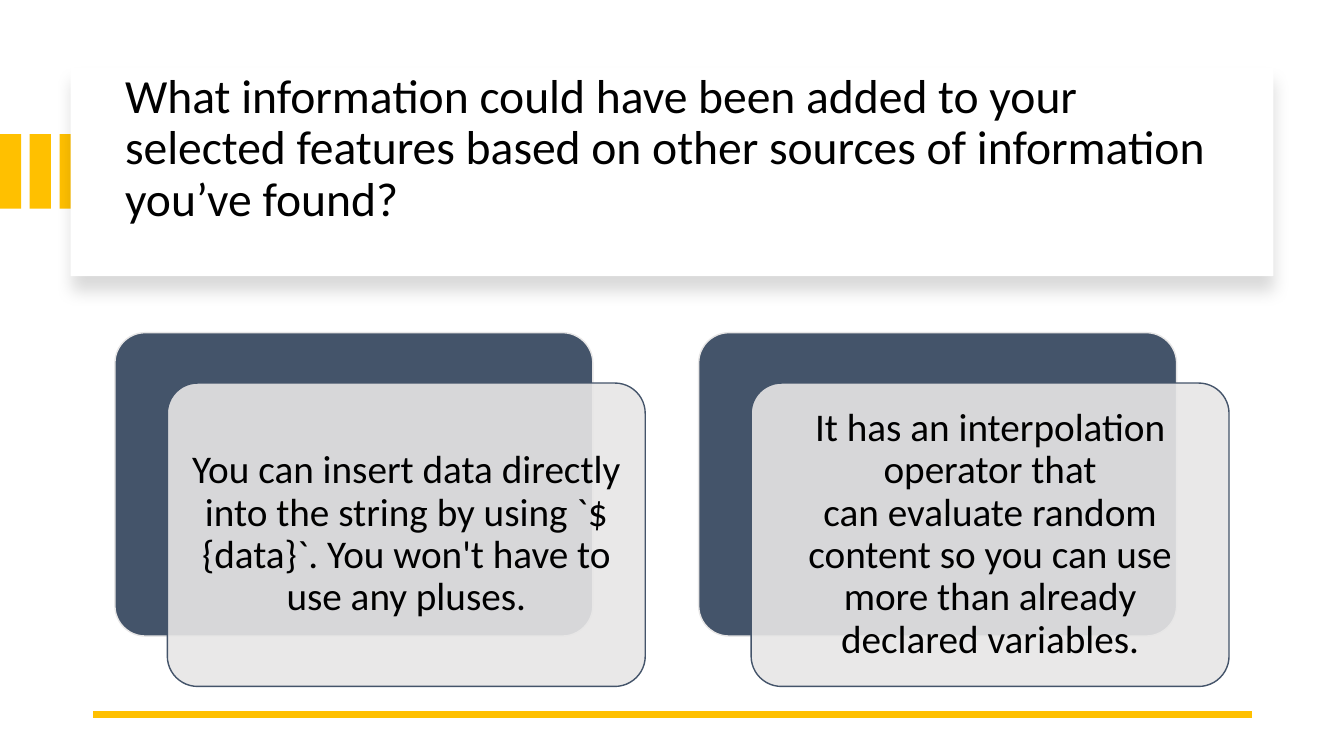
from pptx import Presentation
from pptx.dml.color import RGBColor
from pptx.enum.shapes import MSO_CONNECTOR, MSO_SHAPE
from pptx.enum.text import MSO_ANCHOR, MSO_AUTO_SIZE, PP_ALIGN
from pptx.oxml import parse_xml
from pptx.oxml.ns import nsdecls, qn
from pptx.util import Inches, Pt

RECTANGLE, ROUNDED = MSO_SHAPE.RECTANGLE, MSO_SHAPE.ROUNDED_RECTANGLE
STRAIGHT = MSO_CONNECTOR.STRAIGHT
MIDDLE = MSO_ANCHOR.MIDDLE
LEFT, CENTER = PP_ALIGN.LEFT, PP_ALIGN.CENTER
NO_FIT = MSO_AUTO_SIZE.NONE

FONT = "Calibri"
BLACK = RGBColor(0x00, 0x00, 0x00)
WHITE = RGBColor(0xFF, 0xFF, 0xFF)
GOLD = RGBColor(0xFF, 0xC0, 0x00)
SLATE = RGBColor(0x44, 0x54, 0x6A)
PALE = RGBColor(0xE7, 0xE6, 0xE6)

TITLE = ("What information could have been added to your selected features "
         "based on other sources of information you\u2019ve found?")
ANSWERS = [
    "You can insert data directly into the string by using `${data}`. "
    "You won't have to use any pluses.",
    "It has an\u00a0interpolation operator that can\u00a0evaluate\u00a0random "
    "content so you can use more than\u00a0already declared\u00a0variables.",
]


def add_block(page, kind, left, top, width, height, fill, line=None):
    """Add a flat preset shape, outlined only when a line colour is given."""
    block = page.shapes.add_shape(
        kind, Inches(left), Inches(top), Inches(width), Inches(height))
    block.shadow.inherit = False
    block.fill.solid()
    block.fill.fore_color.rgb = fill
    if line is None:
        block.line.fill.background()
    else:
        block.line.color.rgb = line
        block.line.width = Pt(1)
    return block


def write_text(shape, text, size, align, inset, bottom=None):
    """Write one wrapped, vertically centred paragraph into a shape."""
    frame = shape.text_frame
    frame.word_wrap = True
    frame.auto_size = NO_FIT
    frame.vertical_anchor = MIDDLE
    frame.margin_left = frame.margin_right = Inches(inset)
    frame.margin_top = Inches(0.05)
    frame.margin_bottom = Inches(0.05 if bottom is None else bottom)
    para = frame.paragraphs[0]
    para.alignment = align
    para.line_spacing = 0.9
    span = para.add_run()
    span.text = text
    span.font.name = FONT
    span.font.size = Pt(size)
    span.font.color.rgb = BLACK


def set_opacity(shape, percent):
    """Make a solid fill partly transparent."""
    color = shape.element.spPr.find(qn("a:solidFill"))[0]
    color.append(parse_xml(
        f'<a:alpha {nsdecls("a")} val="{percent * 1000}"/>'))


def set_drop_shadow(shape, blur, distance, percent):
    """Give a shape a soft black shadow that falls straight down."""
    effects = shape.element.spPr.find(qn("a:effectLst"))
    effects.append(parse_xml(
        f'<a:outerShdw {nsdecls("a")} blurRad="{Pt(blur)}" '
        f'dist="{Pt(distance)}" dir="5400000" rotWithShape="0">'
        f'<a:srgbClr val="{BLACK}"><a:alpha val="{percent * 1000}"/>'
        '</a:srgbClr></a:outerShdw>'))


def add_heading(page):
    """Add the gold bars, the raised panel and the title on top of it."""
    for index in range(3):
        add_block(page, RECTANGLE, index * 0.295, 1.33, 0.21, 0.74, GOLD)
    panel = add_block(page, RECTANGLE, 0.7, 0.67, 11.93, 2.07, WHITE)
    set_drop_shadow(panel, blur=11, distance=10, percent=15)

    title = page.shapes.title
    title.left, title.top = Inches(1.14), Inches(0.89)
    title.width, title.height = Inches(11.13), Inches(1.7)
    write_text(title, TITLE, size=34, align=LEFT, inset=0.1, bottom=0.57)
    panel.element.addnext(title.element)


def add_rule(page, left, right, top):
    """Add the gold rule at the foot of the slide."""
    rule = page.shapes.add_connector(
        STRAIGHT, Inches(right), Inches(top), Inches(left), Inches(top))
    rule.line.color.rgb = GOLD
    rule.line.width = Pt(4.5)
    rule.element.spPr.append(parse_xml(f'<a:effectLst {nsdecls("a")}/>'))


def add_card(page, left, top, text):
    """Add a dark card with a translucent text card offset over it."""
    width, height = 4.74, 3.01
    back = add_block(page, ROUNDED, left, top, width, height, SLATE, PALE)
    front = add_block(page, ROUNDED, left + 0.52, top + 0.5, width, height,
                      PALE, SLATE)
    for card in (back, front):
        card.adjustments[0] = 0.1
    set_opacity(front, 90)
    write_text(front, text, size=28, align=CENTER, inset=0.12)


def main():
    """Build the slide and save it."""
    deck = Presentation()
    deck.slide_width, deck.slide_height = Inches(13.33), Inches(7.5)
    page = deck.slides.add_slide(deck.slide_layouts.get_by_name("Title Only"))
    add_heading(page)
    add_rule(page, left=0.92, right=12.42, top=7.09)
    for index, answer in enumerate(ANSWERS):
        add_card(page, 1.14 + index * 5.79, 3.3, answer)
    deck.save("out.pptx")


if __name__ == "__main__":
    main()
